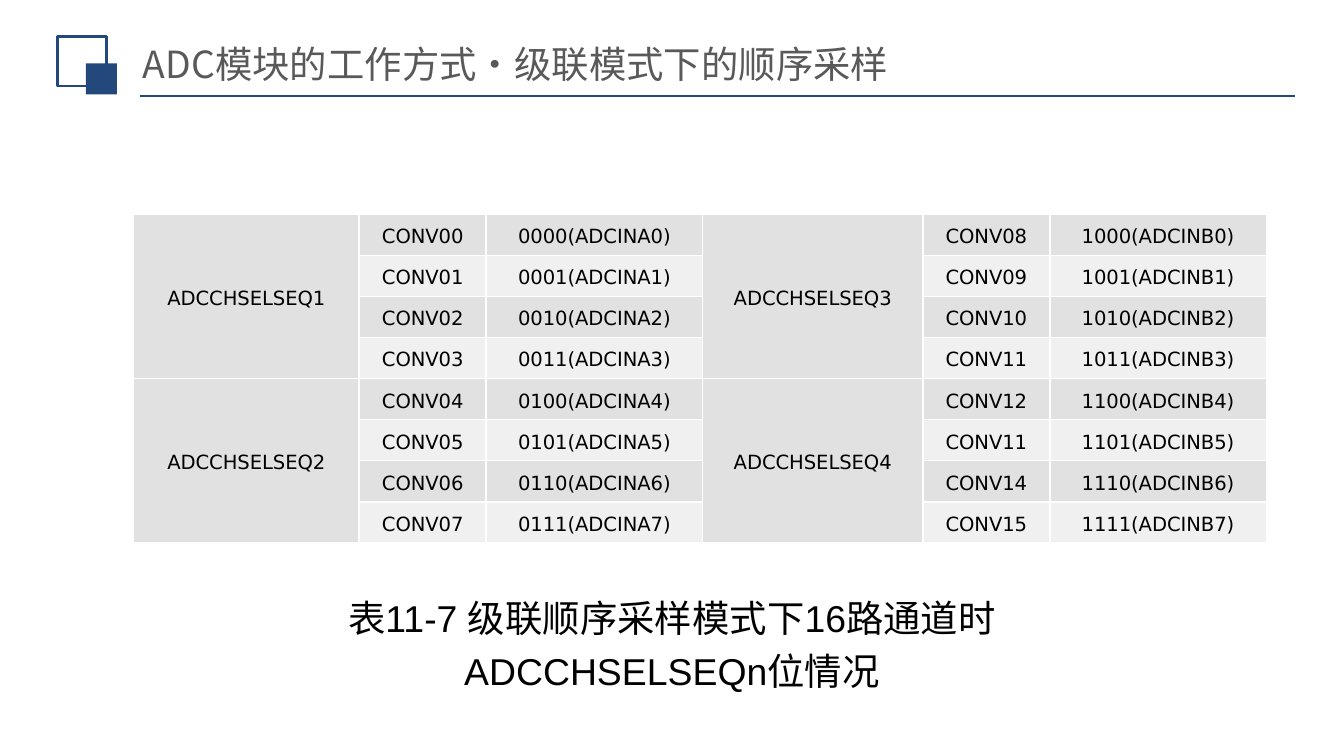
from dataclasses import dataclass

from lxml import etree
from pptx import Presentation
from pptx.dml.color import RGBColor
from pptx.enum.shapes import MSO_CONNECTOR, MSO_SHAPE
from pptx.enum.text import MSO_ANCHOR, MSO_AUTO_SIZE, PP_ALIGN
from pptx.oxml.ns import qn
from pptx.util import Pt

RECTANGLE = MSO_SHAPE.RECTANGLE
STRAIGHT = MSO_CONNECTOR.STRAIGHT
MIDDLE = MSO_ANCHOR.MIDDLE
LEFT, CENTER = PP_ALIGN.LEFT, PP_ALIGN.CENTER
FIXED_SIZE = MSO_AUTO_SIZE.NONE
TITLE_ONLY = 5

NAVY, GREY, BLACK, WHITE = "23487C", "595959", "000000", "FFFFFF"
BAND_FILLS = ("E1E1E1", "F0F0F0")
CJK_FONT = "Noto Sans CJK SC"

ROW_HEIGHT = 22
CHANNELS_PER_REGISTER = 4
CHANNELS_PER_SIDE = 8
COLUMN_WIDTHS = (121, 68, 116, 118, 68, 116)


@dataclass
class Square:
    left: float
    top: float
    width: float
    height: float
    filled: bool


@dataclass
class TextStyle:
    size: float
    font: str
    color: str
    align: PP_ALIGN = CENTER
    spacing: float = 1.2


@dataclass
class ChannelGroup:
    """One half of the table: eight channels served by two registers."""
    first_column: int
    first_register: int
    first_channel: int
    input_bank: str


EMBLEM = (
    Square(31, 19.4, 36, 36.6, False),
    Square(46, 34, 16.5 + 0.1, 16.6, True),
)
EMBLEM = (
    Square(31, 19.4, 26 + 10, 27, False),
    Square(46, 34, 16.6, 16.6, True),
)
EMBLEM = (
    Square(31, 19.5, 26, 26.6, False),
    Square(46, 34, 16.6, 16.6, True),
)
TITLE_STYLE = TextStyle(20, CJK_FONT, GREY, LEFT, 1.0)
CELL_STYLE = TextStyle(10.5, "DejaVu Sans", BLACK)
CAPTION_STYLE = TextStyle(20, "Arial", BLACK)
GROUPS = (ChannelGroup(0, 1, 0, "A"), ChannelGroup(3, 3, 8, "B"))
# The table prints CONV11 again in the place of channel 13.
PRINTED_NUMBERS = {13: 11}


def rgb(color: str) -> RGBColor:
    return RGBColor.from_string(color)


def write(frame, text: str, style: TextStyle) -> None:
    frame.text = text
    paragraph = frame.paragraphs[0]
    paragraph.alignment = style.align
    paragraph.line_spacing = style.spacing
    for run in paragraph.runs:
        run.font.size = Pt(style.size)
        run.font.name = style.font
        run.font.color.rgb = rgb(style.color)
        east_asian = etree.SubElement(run.font._element, qn("a:ea"))
        east_asian.set("typeface", CJK_FONT)


def draw_square(slide, square: Square) -> None:
    shape = slide.shapes.add_shape(
        RECTANGLE, Pt(square.left), Pt(square.top),
        Pt(square.width), Pt(square.height))
    shape.shadow.inherit = False
    if square.filled:
        shape.fill.solid()
        shape.fill.fore_color.rgb = rgb(NAVY)
        shape.line.fill.background()
    else:
        shape.fill.background()
        shape.line.color.rgb = rgb(NAVY)
        shape.line.width = Pt(1.5)


def draw_header(slide, text: str) -> None:
    rule = slide.shapes.add_connector(
        STRAIGHT, Pt(75), Pt(51.6), Pt(694), Pt(51.6))
    rule.line.color.rgb = rgb(NAVY)
    rule.line.width = Pt(1.25)
    etree.SubElement(rule._element.spPr, qn("a:effectLst"))
    for square in EMBLEM:
        draw_square(slide, square)

    title = slide.shapes.title
    title.left, title.top = Pt(71.5), Pt(21)
    title.width, title.height = Pt(464.5), Pt(26)
    frame = title.text_frame
    frame.auto_size = FIXED_SIZE
    frame.vertical_anchor = MIDDLE
    frame.margin_left = frame.margin_right = Pt(5)
    frame.margin_top = frame.margin_bottom = Pt(2.7)
    write(frame, text, TITLE_STYLE)


def style_cell(cell, fill: str) -> None:
    properties = cell._tc.get_or_add_tcPr()
    for side in ("a:lnL", "a:lnR", "a:lnT", "a:lnB"):
        border = etree.SubElement(properties, qn(side), w=str(Pt(1)))
        solid = etree.SubElement(border, qn("a:solidFill"))
        etree.SubElement(solid, qn("a:srgbClr"), val=WHITE)
    cell.fill.solid()
    cell.fill.fore_color.rgb = rgb(fill)
    cell.vertical_anchor = MIDDLE
    cell.margin_left = cell.margin_right = Pt(5)
    cell.margin_top = cell.margin_bottom = 0


def fill_group(table, group: ChannelGroup) -> None:
    column = group.first_column
    for row in range(CHANNELS_PER_SIDE):
        channel = group.first_channel + row
        number = PRINTED_NUMBERS.get(channel, channel)
        labels = (f"CONV{number:02d}",
                  f"{channel:04b}(ADCIN{group.input_bank}{row})")
        for offset, label in enumerate(labels, start=1):
            cell = table.cell(row, column + offset)
            style_cell(cell, BAND_FILLS[row % 2])
            write(cell.text_frame, label, CELL_STYLE)

        register_cell = table.cell(row, column)
        style_cell(register_cell, BAND_FILLS[0])
        if row % CHANNELS_PER_REGISTER == 0:
            register = group.first_register + row // CHANNELS_PER_REGISTER
            last_row = row + CHANNELS_PER_REGISTER - 1
            register_cell.merge(table.cell(last_row, column))
            write(register_cell.text_frame, f"ADCCHSELSEQ{register}", CELL_STYLE)


def draw_channel_table(slide) -> None:
    table = slide.shapes.add_table(
        CHANNELS_PER_SIDE, len(COLUMN_WIDTHS), Pt(71.5), Pt(114.8),
        Pt(sum(COLUMN_WIDTHS)), Pt(ROW_HEIGHT * CHANNELS_PER_SIDE)).table
    table.first_row = False
    for column, width in zip(table.columns, COLUMN_WIDTHS):
        column.width = Pt(width)
    for row in table.rows:
        row.height = Pt(ROW_HEIGHT)
    for group in GROUPS:
        fill_group(table, group)


def draw_caption(slide, text: str) -> None:
    caption = slide.shapes.add_textbox(Pt(172), Pt(310.3), Pt(376), Pt(65.5))
    caption.text_frame.word_wrap = True
    write(caption.text_frame, text, CAPTION_STYLE)


def main() -> None:
    presentation = Presentation()
    presentation.slide_width, presentation.slide_height = Pt(720), Pt(405)
    slide = presentation.slides.add_slide(
        presentation.slide_layouts[TITLE_ONLY])
    draw_header(slide, "ADC模块的工作方式·级联模式下的顺序采样")
    draw_channel_table(slide)
    draw_caption(slide, "表11-7 级联顺序采样模式下16路通道时ADCCHSELSEQn位情况")
    presentation.save("out.pptx")


if __name__ == "__main__":
    main()
